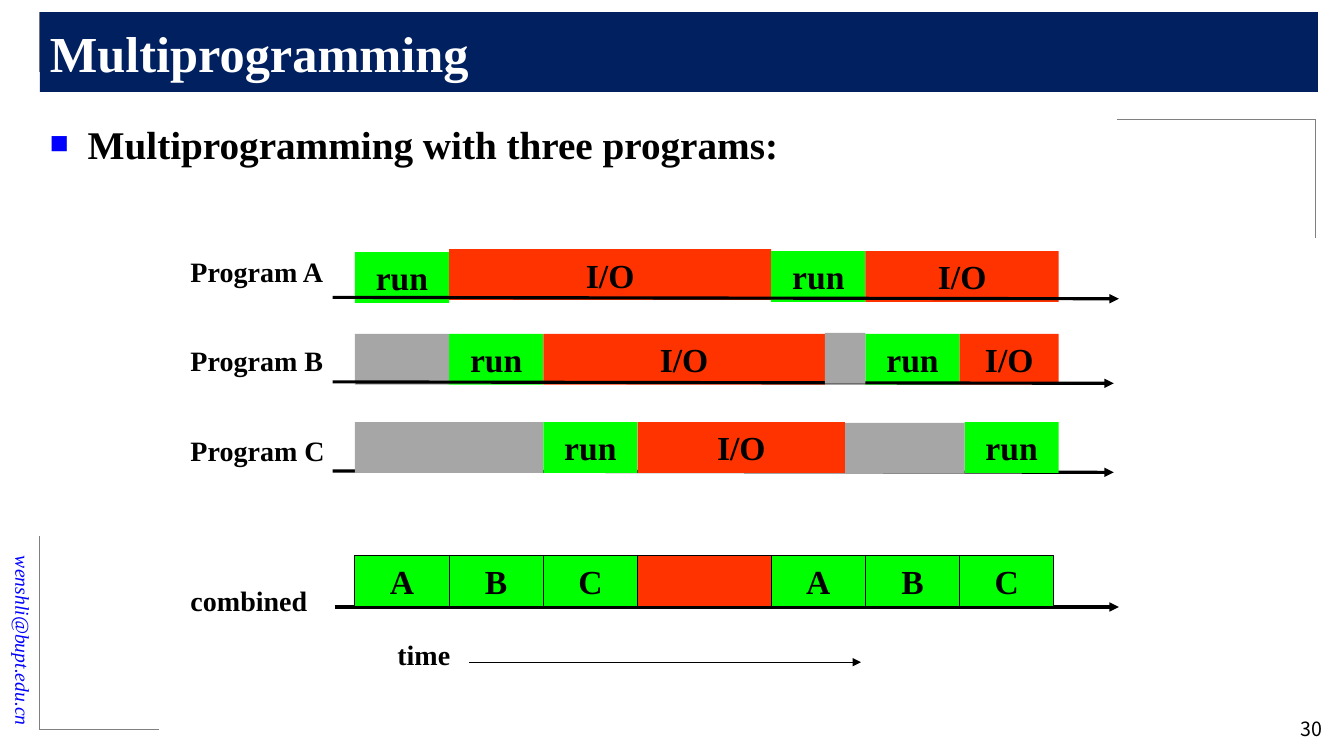
from lxml.etree import SubElement
from pptx import Presentation
from pptx.dml.color import RGBColor
from pptx.enum.shapes import MSO_CONNECTOR, MSO_SHAPE
from pptx.enum.text import MSO_ANCHOR as ANCHOR, MSO_AUTO_SIZE as AUTO_SIZE, PP_ALIGN as ALIGN
from pptx.oxml.ns import qn
from pptx.util import Pt

COLORS = {
    "navy": "002060", "white": "FFFFFF", "black": "000000", "blue": "0000FF",
    "corner": "808080", "run": "00FF00", "io": "FF3300", "wait": "A6A6A6",
}
SERIF = "Times New Roman"


def write(shape, text, size, align=ALIGN.LEFT, anchor=ANCHOR.TOP, wrap=True, **font):
    """Fill a shape with one paragraph; font values override bold black serif."""
    frame = shape.text_frame
    frame.auto_size = AUTO_SIZE.NONE
    frame.word_wrap = wrap
    frame.vertical_anchor = anchor
    paragraph = frame.paragraphs[0]
    paragraph.text = text
    paragraph.alignment = align
    paragraph.space_before = Pt(0)
    color = font.pop("color", "black")
    run_font = paragraph.runs[0].font
    for name, value in {"name": SERIF, "size": Pt(size), "bold": True, **font}.items():
        setattr(run_font, name, value)
    run_font.color.rgb = RGBColor.from_string(COLORS[color])
    return paragraph


def draw_line(x1, y1, x2, y2, color, width, arrow=False):
    line = slide.shapes.add_connector(MSO_CONNECTOR.STRAIGHT, Pt(x1), Pt(y1), Pt(x2), Pt(y2))
    line.line.color.rgb = RGBColor.from_string(COLORS[color])
    line.line.width = Pt(width)
    properties = line._element.spPr
    if arrow:
        SubElement(properties.find(qn("a:ln")), qn("a:tailEnd"), type="triangle")
    SubElement(properties, qn("a:effectLst"))


prs = Presentation()
prs.slide_width, prs.slide_height = Pt(960), Pt(540)
slide = prs.slides.add_slide(prs.slide_layouts[1])
title, body = slide.placeholders

# Frame: address on the left edge and three corner marks
address = slide.shapes.add_textbox(Pt(-78.5), Pt(418.3), Pt(190), Pt(24.5))
address.rotation = 90
write(address, "wenshli@bupt.edu.cn", 14, ALIGN.RIGHT, ANCHOR.MIDDLE,
      color="blue", bold=False, italic=True)

for x, y, across, down in [(28.4, 8.6, 141.7, 42.5), (28.4, 521.3, 85, -138.3),
                           (939.8, 85.2, -142, 85)]:
    draw_line(x, y, x, y + down, "corner", 0.5)
    draw_line(x, y, x + across, y, "corner", 0.5)

# Title bar and bullet, in front of the corner marks
for placeholder, box in [(title, (28.4, 8.6, 913, 57)), (body, (28.4, 82, 910, 439))]:
    slide.shapes._spTree.append(placeholder._element)
    placeholder.left, placeholder.top, placeholder.width, placeholder.height = map(Pt, box)

title.fill.solid()
title.fill.fore_color.rgb = RGBColor.from_string(COLORS["navy"])
write(title, "Multiprogramming", 36, anchor=ANCHOR.MIDDLE, color="white")

bullet = write(body, "Multiprogramming with three programs:", 28)._p.get_or_add_pPr()
bullet.set("marL", str(Pt(27)))
bullet.set("indent", str(Pt(-27)))
SubElement(SubElement(bullet, qn("a:buClr")), qn("a:srgbClr"), val=COLORS["blue"])
SubElement(bullet, qn("a:buSzPct"), val="80000")
SubElement(bullet, qn("a:buFont"), typeface=SERIF)
SubElement(bullet, qn("a:buChar"), char="■")

# Time grid: two rounds of three equal run slots
SLOT = 67.3
T0, T1, T2, T3 = [253.5 + SLOT * i for i in range(4)]
U0, U1, U2, U3 = [550.9 + SLOT * i for i in range(4)]
END = 756.3

# Each row: label, label top, axis ends, outline, blocks behind and in front of the axis.
# Each block: kind, text, start, finish, top.
timelines = [
    ("Program A", 178, (237.6, 212.4, 799.2, 213.4), False,
     [("run", "run", T0, T1, 180), ("io", "I/O", T1, U0, 178),
      ("run", "run", U0, U1, 179.3), ("io", "I/O", U1, END, 179.3)], []),
    ("Program B", 242, (237.6, 272.8, 795.6, 273.8), False,
     [("wait", "", T0, T1, 238.5), ("run", "run", T1, T2, 238.5),
      ("io", "I/O", T2, 589.2, 238.5), ("run", "run", U1, U2, 238.5),
      ("io", "I/O", U2, END, 238.5)],
     [("wait", "", 589.2, U1, 237.7)]),
    ("Program C", 306, (237.6, 336.4, 795.6, 337.4), False, [],
     [("wait", "", T0, T2, 301.5), ("run", "run", T2, T3, 301.5),
      ("io", "I/O", T3, 603.6, 301.5), ("run", "run", END - SLOT, END, 301.5),
      ("wait", "", 603.6, END - SLOT, 302)]),
    ("combined", 413.5, (239, 433.6, 799.2, 433.6), True, [],
     [("run", "A", T0, T1, 396.7), ("run", "B", T1, T2, 396.7),
      ("run", "C", T2, T3, 396.7), ("io", "", T3, U0, 396.7),
      ("run", "A", U0, U1, 396.7), ("run", "B", U1, U2, 396.7),
      ("run", "C", U2, U3, 396.7)]),
]

for label, label_top, axis, outlined, behind, in_front in timelines:
    write(slide.shapes.add_textbox(Pt(129), Pt(label_top), Pt(113), Pt(31)), label, 20)
    for blocks in (behind, in_front):
        if blocks is in_front:
            draw_line(*axis, "black", 2.25, arrow=True)
        for kind, text, start, finish, top in blocks:
            block = slide.shapes.add_shape(MSO_SHAPE.RECTANGLE, Pt(start), Pt(top),
                                           Pt(finish - start), Pt(36.3))
            block.shadow.inherit = False
            block.fill.solid()
            block.fill.fore_color.rgb = RGBColor.from_string(COLORS[kind])
            if outlined:
                block.line.color.rgb = RGBColor.from_string(COLORS["black"])
                block.line.width = Pt(0.75)
            else:
                block.line.fill.background()
            if text:
                write(block, text, 24, ALIGN.CENTER, ANCHOR.MIDDLE)

time_label = slide.shapes.add_textbox(Pt(276.5), Pt(451.5), Pt(52.5), Pt(31.5))
write(time_label, "time", 20, ALIGN.CENTER, wrap=False)
draw_line(335, 473, 615, 473, "black", 0.75, arrow=True)

page_number = slide.shapes.add_textbox(Pt(872), Pt(508.3), Pt(80), Pt(26))
write(page_number, "30", 14, ALIGN.RIGHT, name="Noto Sans CJK SC", bold=False)

prs.save("out.pptx")
